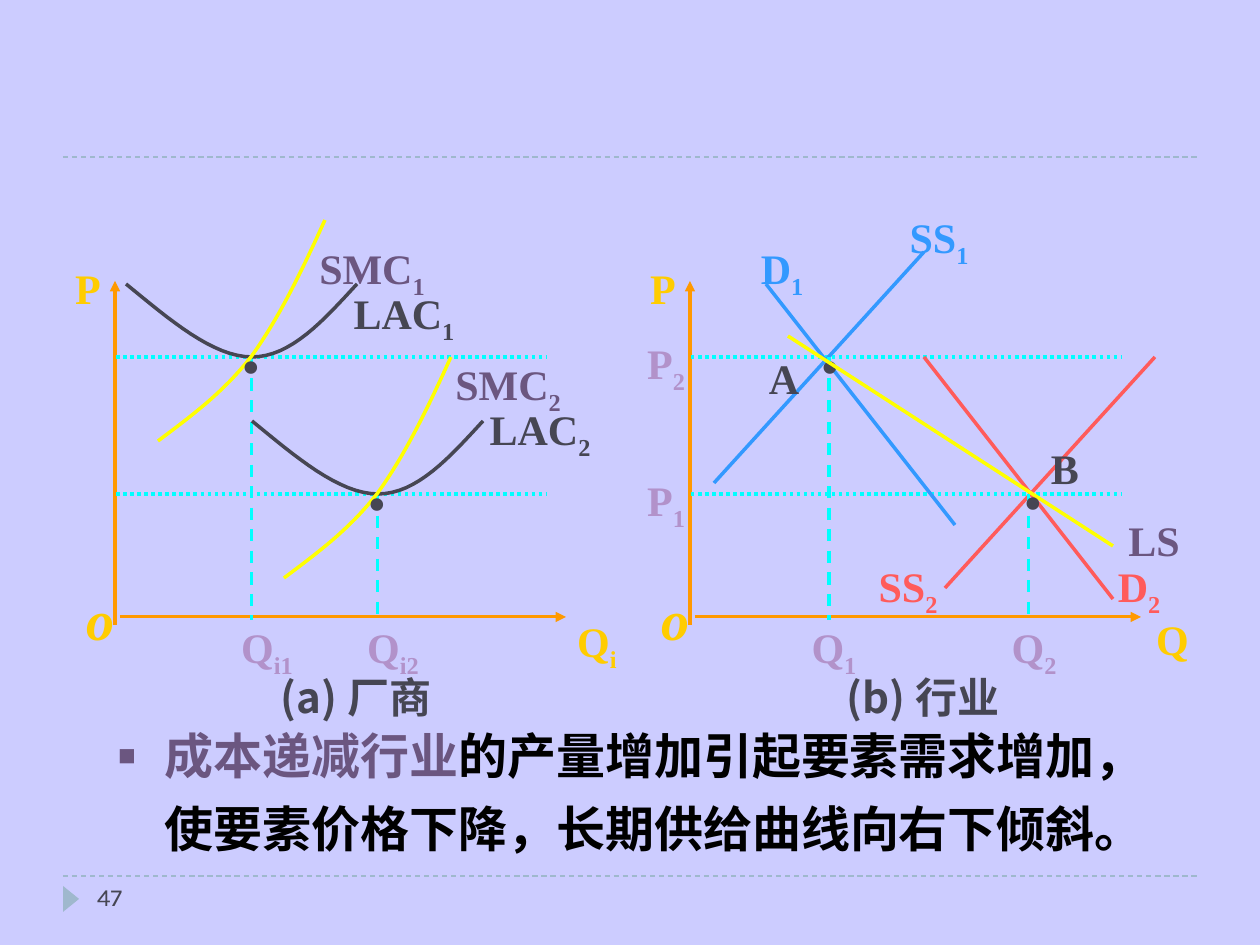
from lxml.etree import SubElement
from pptx import Presentation
from pptx.dml.color import RGBColor
from pptx.enum.dml import MSO_LINE
from pptx.enum.shapes import MSO_CONNECTOR, MSO_SHAPE
from pptx.enum.text import MSO_ANCHOR, MSO_AUTO_SIZE, PP_ALIGN
from pptx.oxml.ns import qn
from pptx.util import Pt

PX = 914400 // 126
COLORS = {
    "background": "CCCCFF", "rule": "9FB8CD", "axis": "FF9900", "axis_label": "FFCC00",
    "guide": "00FFFF", "tick": "B292CA", "dark": "464653", "purple": "6B5680",
    "yellow": "FFFF00", "blue": "3399FF", "red": "FF5B5B", "black": "000000",
}
SERIF = "Times New Roman"
SANS = "Karla"
CJK = "Noto Sans CJK KR"
LABEL_INSETS = (35, 0, 5, 21)
PLAIN_INSETS = (13, 6, 13, 6)
HIGH, LOW = 357, 494      # price levels
BASE = 617                # quantity axis
PANEL_STEP = 575          # from firm panel to industry panel
SHIFT = (126, 137)        # from the first cost curves to the second


def px(value):
    return value * PX


def rgb(name):
    return RGBColor.from_string(COLORS[name])


def add_run(paragraph, text, color, size=24, font=SERIF, bold=True, italic=False,
            subscript=False):
    run = paragraph.add_run()
    run.text = text
    run.font.name = font
    run.font.size = Pt(size)
    run.font.bold = bold
    run.font.italic = italic
    run.font.color.rgb = rgb(color)
    if subscript:
        run.font._element.set("baseline", "-25000")
    if font == CJK:
        SubElement(run.font._element, qn("a:ea")).set("typeface", font)


def set_frame(frame, insets, wrap=True, auto_size=MSO_AUTO_SIZE.NONE):
    frame.margin_left, frame.margin_top, frame.margin_right, frame.margin_bottom = map(px, insets)
    frame.word_wrap = wrap
    frame.auto_size = auto_size
    frame.vertical_anchor = MSO_ANCHOR.TOP


def add_text(slide, text, left, top, width=168, height=92, color="dark", sub="",
             insets=LABEL_INSETS, wrap=True, align=PP_ALIGN.CENTER, spacing=1.4, **style):
    box = slide.shapes.add_textbox(px(left), px(top), px(width), px(height))
    set_frame(box.text_frame, insets, wrap, MSO_AUTO_SIZE.SHAPE_TO_FIT_TEXT)
    paragraph = box.text_frame.paragraphs[0]
    paragraph.alignment = align
    paragraph.line_spacing = spacing
    add_run(paragraph, text, color, **style)
    if sub:
        add_run(paragraph, sub, color, subscript=True, **style)


def add_line(slide, start, end, color, width=2, dash=None, arrow=False):
    line = slide.shapes.add_connector(MSO_CONNECTOR.STRAIGHT, *map(px, start + end))
    line.line.color.rgb = rgb(color)
    line.line.width = Pt(width)
    if dash:
        line.line.dash_style = dash
    if arrow:
        SubElement(line.line._get_or_add_ln(), qn("a:tailEnd")).set("type", "triangle")
    SubElement(line._element.spPr, qn("a:effectLst"))


def bezier(points, steps=16):
    """Points along one cubic segment, without its start."""
    for step in range(1, steps + 1):
        t = step / steps
        weights = ((1 - t) ** 3, 3 * t * (1 - t) ** 2, 3 * t * t * (1 - t), t ** 3)
        yield tuple(sum(w * p[axis] for w, p in zip(weights, points)) for axis in (0, 1))


def add_curve(slide, points, color, offset):
    # Vertices in EMU, so that rounding leaves the curve smooth
    moved = [(px(x + offset[0]), px(y + offset[1])) for x, y in points]
    builder = slide.shapes.build_freeform(*moved[0])
    for first in range(0, len(moved) - 1, 3):
        builder.add_line_segments(bezier(moved[first:first + 4]), close=False)
    curve = builder.convert_to_shape()
    curve.shadow.inherit = False
    curve.fill.background()
    curve.line.color.rgb = rgb(color)
    curve.line.width = Pt(2)


def add_dot(slide, left, top):
    add_text(slide, "·", left, top, 59, 151, size=44)


def add_point_name(slide, name, left, top):
    add_text(slide, name, left, top, 55, 63, insets=PLAIN_INSETS, wrap=False,
             align=PP_ALIGN.LEFT, spacing=1.0)


def add_axes(slide, offset, quantity_sub, quantity_left, quantity_width):
    add_line(slide, (120 + offset, BASE), (566 + offset, BASE), "axis", 1.75, arrow=True)
    add_line(slide, (115 + offset, 625), (115 + offset, 281), "axis", 1.75, arrow=True)
    style = dict(color="axis_label", wrap=False)
    add_text(slide, "o", 51 + offset, 558, 68, 112, size=32, italic=True, **style)
    add_text(slide, "Q", quantity_left, 593, quantity_width, sub=quantity_sub, **style)
    add_text(slide, "P", 40 + offset, 242, 66, **style)
    for level in (HIGH, LOW):
        add_line(slide, (116 + offset, level), (546 + offset, level), "guide",
                 dash=MSO_LINE.ROUND_DOT)


def add_quantity(slide, x, top, sub, label_left):
    add_line(slide, (x, top), (x, 620), "guide", 1.75, MSO_LINE.DASH)
    add_text(slide, "Q", label_left, 599, color="tick", sub=sub)


def add_firm_panel(slide):
    average_cost = [(126, 284), (170, 320), (213, 357), (252, 357),
                    (291, 357), (324, 320), (357, 284)]
    marginal_cost = [(158, 441), (190, 417), (223, 393), (251, 357),
                     (278, 320), (302, 271), (325, 220)]
    add_axes(slide, 0, "i", 532, 100)
    for index, level in enumerate((HIGH, LOW)):
        dx, dy = SHIFT[0] * index, SHIFT[1] * index
        number = str(index + 1)
        add_quantity(slide, 252 + dx, level, "i" + number, 168 + dx)
        add_curve(slide, average_cost, "dark", (dx, dy))
        add_curve(slide, marginal_cost, "yellow", (dx, dy))
        add_text(slide, "LAC", 305 + dx + 10 * index, 265 + dy - 21 * index, sub=number)
        add_text(slide, "SMC", 273 + dx + 10 * index, 220 + dy - 21 * index,
                 color="purple", sub=number)
        add_dot(slide, 203 + dx, 280 + dy)
    add_text(slide, "(a) 厂商", 168, 651, 346, font=CJK)


def add_industry_panel(slide):
    add_axes(slide, PANEL_STEP, "", 1121, 73)
    for level, number in ((HIGH, "2"), (LOW, "1")):
        add_text(slide, "P", 567, level - 42, color="tick", sub=number)

    # Demand and short-run supply
    for start, end, color in (
        ((766, 284), (955, 525), "blue"), ((714, 483), (924, 252), "blue"),
        ((924, 357), (1113, 599), "red"), ((945, 588), (1155, 357), "red"),
    ):
        add_line(slide, start, end, color)
    add_quantity(slide, 829, HIGH, "1", 735)
    add_quantity(slide, 1029, LOW, "2", 935)

    # Equilibria and long-run supply
    add_point_name(slide, "A", 756, 347)
    add_dot(slide, 782, 280)
    add_line(slide, (788, 336), (1113, 546), "yellow")
    add_text(slide, "LS", 1071, 494, 136, color="purple")
    add_point_name(slide, "B", 1038, 437)
    add_dot(slide, 986, 416)

    for text, number, left, top, color in (
        ("D", "1", 683, 220, "blue"), ("SS", "1", 840, 189, "blue"),
        ("SS", "2", 809, 538, "red"), ("D", "2", 1040, 538, "red"),
    ):
        add_text(slide, text, left, top, color=color, sub=number)
    add_text(slide, "(b) 行业", 735, 651, 346, font=CJK)


def add_frame(slide):
    for y in (157, 876):
        add_line(slide, (63, y), (1197, y), "rule", 0.75, MSO_LINE.DASH)
    marker = slide.shapes.add_shape(MSO_SHAPE.ISOSCELES_TRIANGLE, px(58), px(891), px(26), px(16))
    marker.rotation = 90
    marker.shadow.inherit = False
    marker.fill.solid()
    marker.fill.fore_color.rgb = rgb("rule")
    marker.line.fill.background()
    add_text(slide, "47", 84, 876, 273, 50, insets=PLAIN_INSETS, align=PP_ALIGN.LEFT,
             spacing=1.0, size=14, font=SANS, bold=False)


def fill_body(body):
    body.left, body.top, body.width, body.height = map(px, (105, 714, 1081, 168))
    set_frame(body.text_frame, PLAIN_INSETS)
    paragraph = body.text_frame.paragraphs[0]
    paragraph.line_spacing = 1.1
    paragraph.space_before = Pt(0)
    properties = paragraph._element.get_or_add_pPr()
    properties.set("marL", str(px(47)))
    properties.set("indent", str(px(-47)))
    bullet_color = SubElement(properties, qn("a:buClr"))
    SubElement(bullet_color, qn("a:srgbClr")).set("val", COLORS["purple"])
    SubElement(properties, qn("a:buSzPct")).set("val", "60000")
    SubElement(properties, qn("a:buChar")).set("char", "■")
    add_run(paragraph, "成本递减行业", "purple", size=28, font=SANS)
    add_run(paragraph, "的产量增加引起要素需求增加，使要素价格下降，长期供给曲线向右下倾斜。",
            "black", size=28, font=SANS)
    add_run(paragraph, " ", "black", size=32, font=SANS, bold=False)


def main():
    presentation = Presentation()
    presentation.slide_width, presentation.slide_height = px(1260), px(945)
    slide = presentation.slides.add_slide(presentation.slide_layouts[1])
    slide.background.fill.solid()
    slide.background.fill.fore_color.rgb = rgb("background")
    title = slide.shapes.title
    title._element.getparent().remove(title._element)
    fill_body(slide.placeholders[1])
    add_frame(slide)
    add_firm_panel(slide)
    add_industry_panel(slide)
    presentation.save("out.pptx")


if __name__ == "__main__":
    main()
